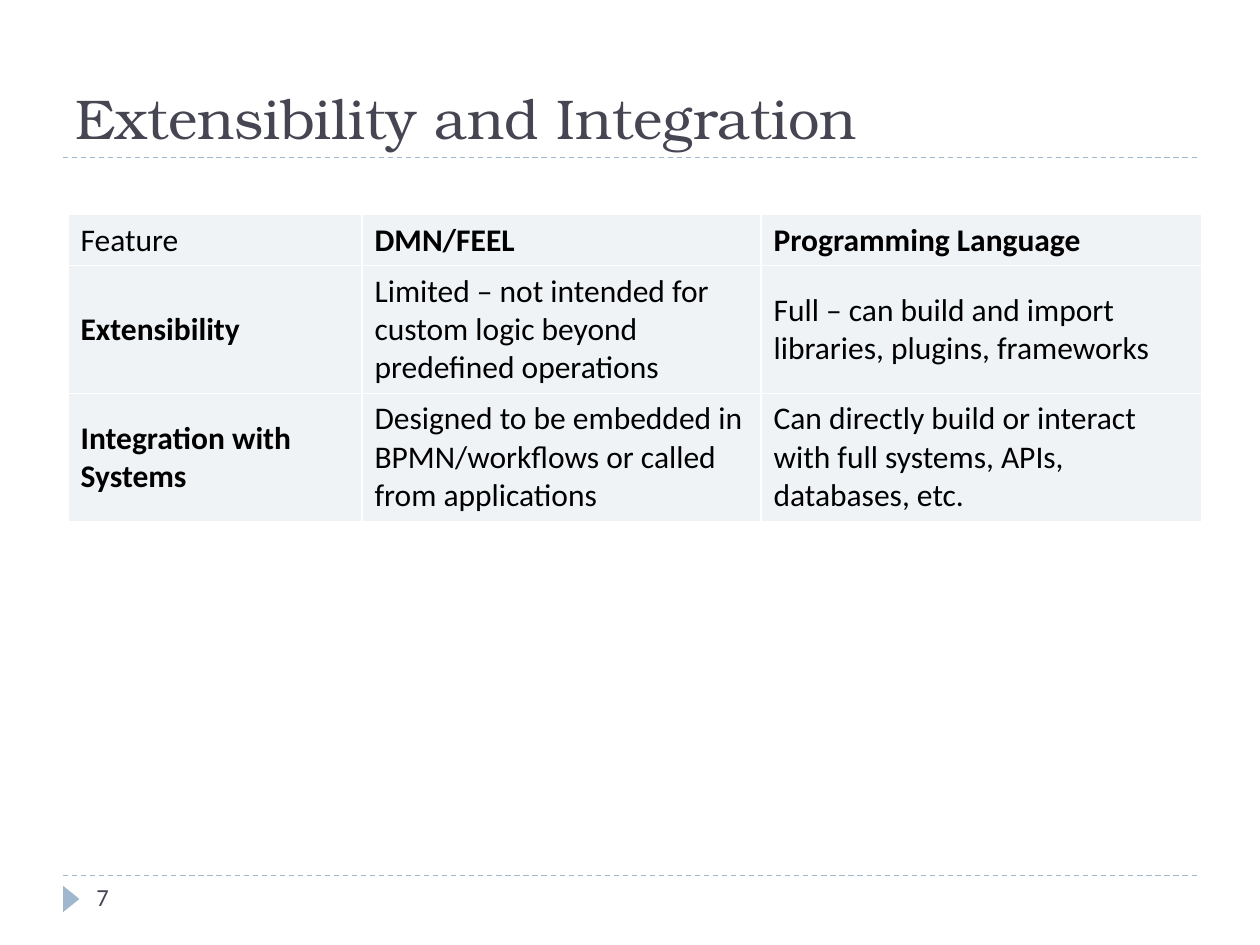
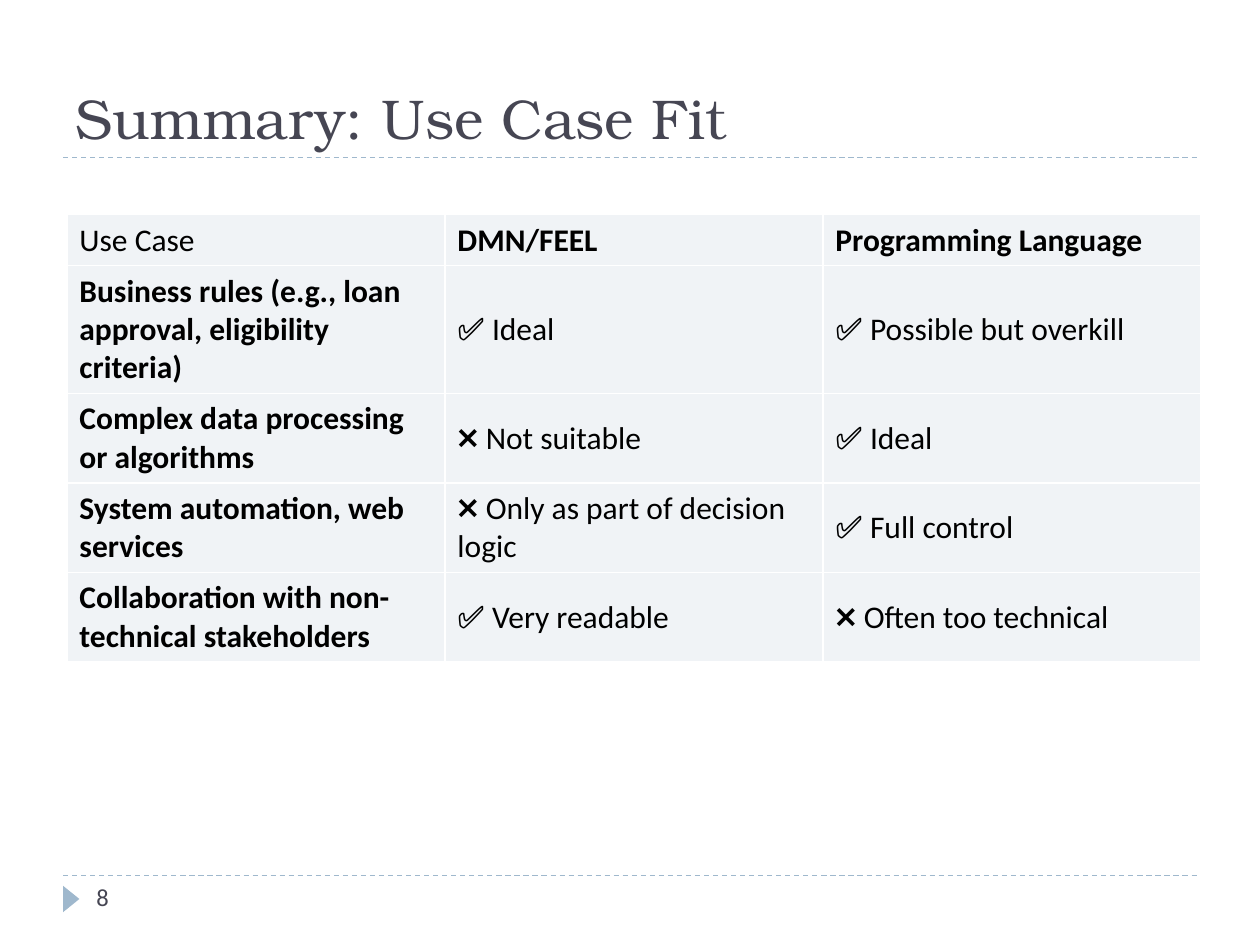
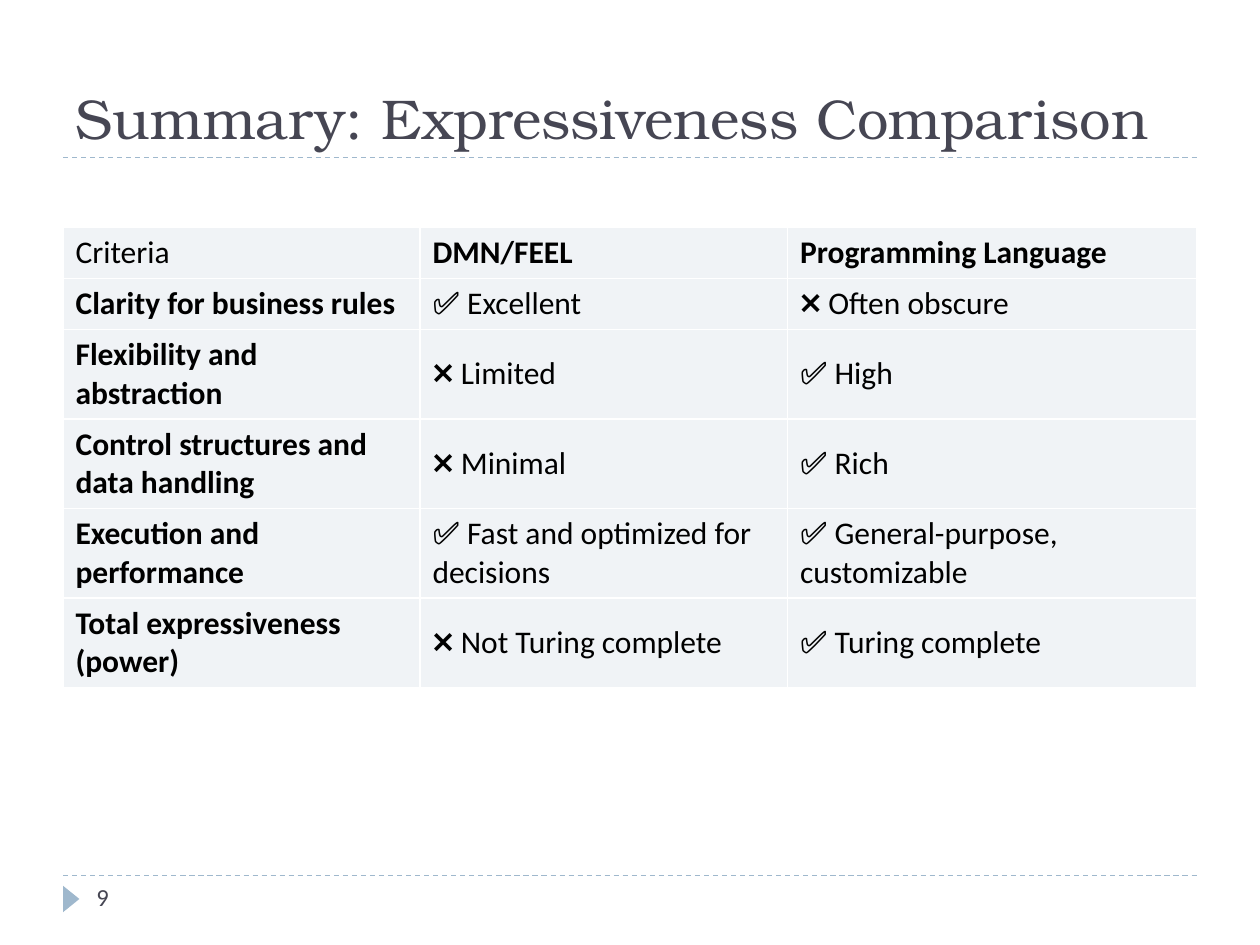
from dataclasses import dataclass

from lxml import etree
from pptx import Presentation
from pptx import util as u
from pptx.dml.color import RGBColor
from pptx.enum import dml, shapes, text
from pptx.oxml import parse_xml
from pptx.oxml.ns import nsdecls, qn

Pt = u.Pt

TITLE_FONT, BODY_FONT = "TeX Gyre Bonum", "Calibri"
INK, BLACK, WHITE = "464653", "000000", "FFFFFF"
ACCENT, CELL_FILL = "9FB8CD", "F0F3F6"

MARGIN, CONTENT_WIDTH = 36, 648
TITLE_TOP, TITLE_RULE, FOOTER_RULE = 12.24, 90, 500.4
LINE_HEIGHT, CELL_PADDING = 21.96, 7.2
TITLE_ONLY_LAYOUT = 5


@dataclass(frozen=True)
class Comparison:
    """A slide with one table; line_counts holds the text lines of each row."""
    number: int
    title: str
    left: float
    top: float
    column_widths: tuple[float, ...]
    line_counts: tuple[int, ...]
    rows: tuple[tuple[str, ...], ...]


COMPARISONS = (
    Comparison(
        7, "Extensibility and Integration", 38.9, 122.7, (168, 228, 252), (1, 3, 3),
        (
            ("Feature", "DMN/FEEL", "Programming Language"),
            ("Extensibility",
             "Limited – not intended for custom logic beyond predefined operations",
             "Full – can build and import libraries, plugins, frameworks"),
            ("Integration with Systems",
             "Designed to be embedded in BPMN/workflows or called from applications",
             "Can directly build or interact with full systems, APIs, databases, etc."),
        ),
    ),
    Comparison(
        8, "Summary: Use Case Fit", 38.2, 122.7, (216, 216, 216), (1, 3, 2, 2, 2),
        (
            ("Use Case", "DMN/FEEL", "Programming Language"),
            ("Business rules (e.g., loan approval, eligibility criteria)",
             "✅ Ideal", "✅ Possible but overkill"),
            ("Complex data processing or algorithms", "❌ Not suitable", "✅ Ideal"),
            ("System automation, web services",
             "❌ Only as part of decision logic", "✅ Full control"),
            ("Collaboration with non-technical stakeholders",
             "✅ Very readable", "❌ Often too technical"),
        ),
    ),
    Comparison(
        9, "Summary: Expressiveness Comparison", 36, 130, (204, 210, 234), (1, 1, 2, 2, 2, 2),
        (
            ("Criteria", "DMN/FEEL", "Programming Language"),
            ("Clarity for business rules", "✅ Excellent", "❌ Often obscure"),
            ("Flexibility and abstraction", "❌ Limited", "✅ High"),
            ("Control structures and data handling", "❌ Minimal", "✅ Rich"),
            ("Execution and performance",
             "✅ Fast and optimized for decisions", "✅ General-purpose, customizable"),
            ("Total expressiveness (power)", "❌ Not Turing complete", "✅ Turing complete"),
        ),
    ),
)


def color(value: str) -> RGBColor:
    return RGBColor.from_string(value)


def write(frame, content: str, font_name: str, size: float, ink: str, bold: bool = False) -> None:
    frame.text = content
    frame.word_wrap = True
    paragraph = frame.paragraphs[0]
    paragraph.alignment = text.PP_ALIGN.LEFT
    font = paragraph.runs[0].font
    font.name, font.size, font.bold = font_name, Pt(size), bold
    font.color.rgb = color(ink)


def add_rule(slide, top: float) -> None:
    """Draw a dashed line across the content width."""
    rule = slide.shapes.add_connector(
        shapes.MSO_CONNECTOR.STRAIGHT,
        Pt(MARGIN), Pt(top), Pt(MARGIN + CONTENT_WIDTH), Pt(top))
    rule.line.color.rgb = color(ACCENT)
    rule.line.width = Pt(0.75)
    rule.line.dash_style = dml.MSO_LINE.DASH
    etree.SubElement(rule.element.spPr, qn("a:effectLst"))


def add_footer(slide, number: int) -> None:
    add_rule(slide, FOOTER_RULE)
    marker = slide.shapes.add_shape(
        shapes.MSO_SHAPE.ISOSCELES_TRIANGLE, Pt(33.12), Pt(509.04), Pt(15.12), Pt(9.36))
    marker.rotation = 90
    marker.shadow.inherit = False
    marker.fill.solid()
    marker.fill.fore_color.rgb = color(ACCENT)
    marker.line.fill.background()
    number_box = slide.shapes.add_textbox(Pt(48), Pt(FOOTER_RULE), Pt(156), Pt(28.8))
    write(number_box.text_frame, str(number), BODY_FONT, 14, INK)


def add_title(slide, content: str) -> None:
    title = slide.shapes.title
    title.left, title.top = Pt(MARGIN), Pt(TITLE_TOP)
    title.width, title.height = Pt(CONTENT_WIDTH), Pt(TITLE_RULE - TITLE_TOP)
    frame = title.text_frame
    write(frame, content, TITLE_FONT, 32, INK)
    frame.auto_size = text.MSO_AUTO_SIZE.NONE
    frame.vertical_anchor = text.MSO_ANCHOR.BOTTOM
    add_rule(slide, TITLE_RULE)


def add_borders(cell) -> None:
    properties = cell._tc.get_or_add_tcPr()
    for side in ("lnL", "lnR", "lnT", "lnB"):
        properties.append(parse_xml(
            f'<a:{side} {nsdecls("a")} w="{Pt(1)}"><a:solidFill>'
            f'<a:srgbClr val="{WHITE}"/></a:solidFill></a:{side}>'))


def add_comparison_table(slide, comparison: Comparison) -> None:
    heights = [count * LINE_HEIGHT + CELL_PADDING for count in comparison.line_counts]
    table = slide.shapes.add_table(
        len(comparison.rows), len(comparison.column_widths),
        Pt(comparison.left), Pt(comparison.top),
        Pt(sum(comparison.column_widths)), Pt(sum(heights))).table
    table.first_row = table.horz_banding = False
    for column, width in zip(table.columns, comparison.column_widths):
        column.width = Pt(width)
    for row, height in zip(table.rows, heights):
        row.height = Pt(height)
    for row_index, row_texts in enumerate(comparison.rows):
        for column_index, content in enumerate(row_texts):
            cell = table.cell(row_index, column_index)
            is_heading = (row_index == 0) != (column_index == 0)
            write(cell.text_frame, content, BODY_FONT, 18, BLACK, is_heading)
            cell.vertical_anchor = text.MSO_ANCHOR.MIDDLE
            add_borders(cell)
            cell.fill.solid()
            cell.fill.fore_color.rgb = color(CELL_FILL)


def main() -> None:
    presentation = Presentation()
    presentation.slide_width, presentation.slide_height = Pt(720), Pt(540)
    layout = presentation.slide_layouts[TITLE_ONLY_LAYOUT]
    for comparison in COMPARISONS:
        slide = presentation.slides.add_slide(layout)
        add_title(slide, comparison.title)
        add_footer(slide, comparison.number)
        add_comparison_table(slide, comparison)
    presentation.save("out.pptx")


if __name__ == "__main__":
    main()
